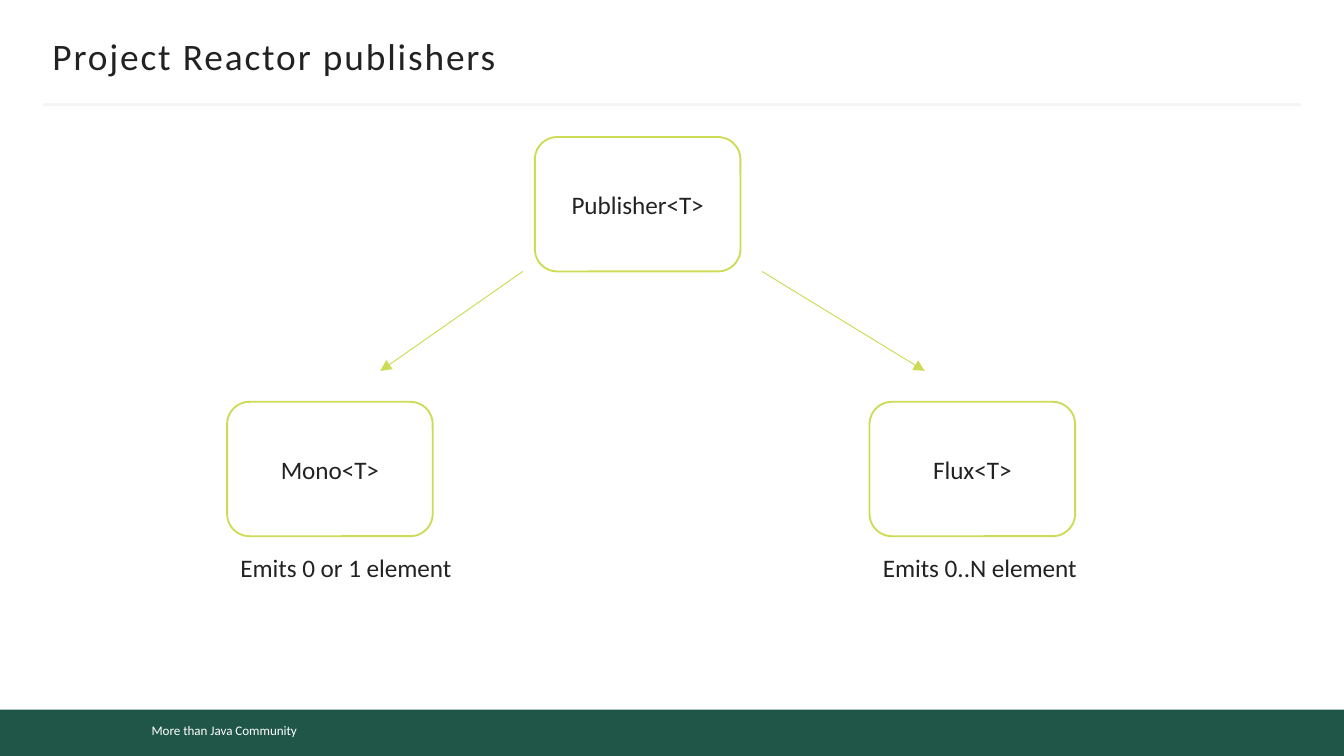
from pptx import Presentation
from pptx.dml.color import RGBColor
from pptx.enum.shapes import MSO_CONNECTOR, MSO_SHAPE
from pptx.enum.text import MSO_ANCHOR, MSO_AUTO_SIZE, PP_ALIGN
from pptx.oxml.ns import qn
from pptx.util import Inches, Pt
from lxml.etree import SubElement

GREEN, LIME, INK, WHITE, GREY = "205648", "CEDB56", "222222", "FFFFFF", "F5F5F5"
NODE_W, NODE_H = 1.53, 1


def rgb(value):
    """Turn a hex string into a colour."""
    return RGBColor.from_string(value)


def write(sp, text, size=13.5, color=INK, align=PP_ALIGN.LEFT, **frame):
    """Put one formatted line of text in a shape and return its run."""
    tf = sp.text_frame
    settings = {"word_wrap": True, "auto_size": MSO_AUTO_SIZE.NONE, **frame}
    for name, value in settings.items():
        setattr(tf, name, value)
    p = tf.paragraphs[0]
    p.alignment = align
    r = p.add_run()
    r.text = text
    for name, value in {"name": "Calibri", "size": Pt(size), "bold": False}.items():
        setattr(r.font, name, value)
    r.font.color.rgb = rgb(color)
    return r


def add_box(s, kind, box, fill, line=None):
    """Add a filled shape with an optional one-point outline."""
    sp = s.shapes.add_shape(kind, *map(Inches, box))
    sp.shadow.inherit = False
    sp.fill.solid()
    sp.fill.fore_color.rgb = rgb(fill)
    if line:
        sp.line.color.rgb = rgb(line)
        sp.line.width = Pt(1)
    else:
        sp.line.fill.background()
    return sp


def add_line(s, start, end, color, width, arrow=False):
    """Draw a straight line, with an arrowhead at its end if wanted."""
    cx = s.shapes.add_connector(MSO_CONNECTOR.STRAIGHT, *map(Inches, start + end))
    cx.line.color.rgb = rgb(color)
    cx.line.width = Pt(width)
    sp_pr = cx._element.spPr
    if arrow:
        SubElement(sp_pr.find(qn("a:ln")), qn("a:tailEnd"), type="triangle")
    SubElement(sp_pr, qn("a:effectLst"))


def add_header(s, box, title):
    """Place the title and the rule beneath it."""
    x, y, w, h = box
    sp = s.shapes.title
    place = {"left": x + 0.07, "top": y + 0.25, "width": w - 0.14, "height": 0.33}
    for name, value in place.items():
        setattr(sp, name, Inches(value))
    r = write(sp, title, 20, vertical_anchor=MSO_ANCHOR.MIDDLE,
              margin_left=0, margin_right=0)
    r.font._element.set("spc", "100")
    add_line(s, (x, y + h), (x + w, y + h), GREY, 1.5)


def add_footer(s, box, text):
    """Draw the footer band and its label."""
    x, y, w, h = box
    add_box(s, MSO_SHAPE.RECTANGLE, box, GREEN)
    sp = add_box(s, MSO_SHAPE.RECTANGLE, (x + 1.03, y + 0.05, 2.65, 0.22), GREEN)
    write(sp, text, 7, WHITE, vertical_anchor=MSO_ANCHOR.TOP)


def add_node(s, x, y, label, caption=None):
    """Add a rounded node with an optional caption below it."""
    sp = add_box(s, MSO_SHAPE.ROUNDED_RECTANGLE, (x, y, NODE_W, NODE_H), WHITE, LIME)
    write(sp, label, align=PP_ALIGN.CENTER, vertical_anchor=MSO_ANCHOR.MIDDLE)
    if caption:
        box = (x, y + NODE_H + 0.07, 1.91, 0.33)
        write(s.shapes.add_textbox(*map(Inches, box)), caption)


def add_tree(s, box):
    """Draw the publisher, its two kinds and the arrows between them."""
    x, y, w, h = box
    child_y = y + h - NODE_H
    add_node(s, x + 2.29, y, "Publisher<T>")
    add_node(s, x, child_y, "Mono<T>", "Emits 0 or 1 element")
    add_node(s, x + w - NODE_W, child_y, "Flux<T>", "Emits 0..N element")
    for start, end in ((2.2, 1.14), (3.98, 5.19)):
        add_line(s, (x + start, y + NODE_H), (x + end, child_y - 0.23), LIME, 0.5, True)


def main():
    """Build and save the slide."""
    prs = Presentation()
    prs.slide_width = Inches(10)
    prs.slide_height = prs.slide_width * 9 // 16
    s = prs.slides.add_slide(prs.slide_layouts[5])
    add_footer(s, (0, 5.28, 10, 0.35), "More than Java Community")
    add_header(s, (0.32, 0, 9.36, 0.78), "Project Reactor publishers")
    add_tree(s, (1.69, 1.02, 6.31, 2.97))
    prs.save("out.pptx")


if __name__ == "__main__":
    main()
